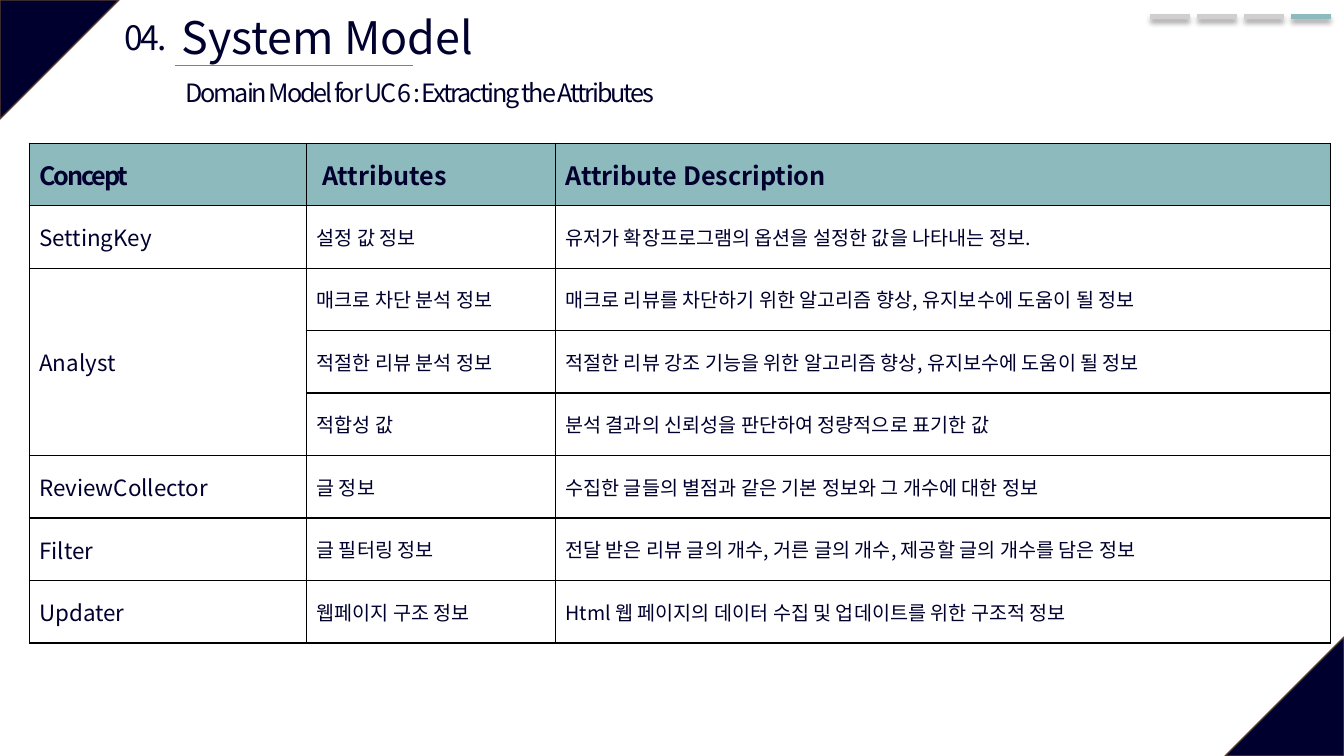
from lxml import etree
from pptx import Presentation
from pptx.dml.color import RGBColor
from pptx.enum.shapes import MSO_CONNECTOR, MSO_SHAPE
from pptx.enum.text import MSO_ANCHOR, MSO_AUTO_SIZE, PP_ALIGN
from pptx.oxml.ns import qn
from pptx.util import Pt

LEFT, CENTER = PP_ALIGN.LEFT, PP_ALIGN.CENTER
MIDDLE, TOP = MSO_ANCHOR.MIDDLE, MSO_ANCHOR.TOP
STRAIGHT = MSO_CONNECTOR.STRAIGHT
TRIANGLE = MSO_SHAPE.ISOSCELES_TRIANGLE
NO_FIT = MSO_AUTO_SIZE.NONE

# Content
NUMBER = "04."
TITLE = "System Model"
SUBTITLE = "Domain Model for UC 6 : Extracting the Attributes"
HEADERS = ["Concept", " Attributes", "Attribute Description"]
CONCEPTS = [
    ("SettingKey", [
        ("설정 값 정보", "유저가 확장프로그램의 옵션을 설정한 값을 나타내는 정보."),
    ]),
    ("Analyst", [
        ("매크로 차단 분석 정보", "매크로 리뷰를 차단하기 위한 알고리즘 향상, 유지보수에 도움이 될 정보"),
        ("적절한 리뷰 분석 정보", "적절한 리뷰 강조 기능을 위한 알고리즘 향상, 유지보수에 도움이 될 정보"),
        ("적합성 값", "분석 결과의 신뢰성을 판단하여 정량적으로 표기한 값"),
    ]),
    ("ReviewCollector", [
        ("글 정보", "수집한 글들의 별점과 같은 기본 정보와 그 개수에 대한 정보"),
    ]),
    ("Filter", [
        ("글 필터링 정보", "전달 받은 리뷰 글의 개수, 거른 글의 개수, 제공할 글의 개수를 담은 정보"),
    ]),
    ("Updater", [
        ("웹페이지 구조 정보", "Html 웹 페이지의 데이터 수집 및 업데이트를 위한 구조적 정보"),
    ]),
]

# Style and layout, in points
FONT = "Noto Sans CJK KR"
NAVY, TEAL, GREY, RULE, BROWN, BLACK = "00002F", "8DBABD", "D0CECE", "808080", "5B3F33", "000000"
WIDTH, HEIGHT, CORNER = 960, 540, 85
TABLE_LEFT, TABLE_TOP, ROW_HEIGHT = 20.9, 102.3, 44.64
COLUMNS = [198, 177.8, 553.7]
MARK_LEFT, MARK_TOP, MARK_WIDTH, MARK_STEP, MARKS = 821.5, 11.5, 28.4, 33.6, 4


def color(value):
    return RGBColor.from_string(value)


def add_xml(parent, tag, **attributes):
    return etree.SubElement(parent, qn(tag), attributes)


def write(frame, text, size, bold=False, spacing=0, align=LEFT):
    para = frame.paragraphs[0]
    para.alignment = align
    span = para.add_run()
    span.text = text
    span.font.color.rgb = color(NAVY)
    for name, value in {"size": Pt(size), "bold": bold, "name": FONT}.items():
        setattr(span.font, name, value)
    properties = span.font._element
    properties.set("spc", str(round(spacing * 100)))
    properties.find(qn("a:latin")).addnext(etree.Element(qn("a:ea"), typeface=FONT))


def place(shape, left, top, width, height):
    for name, value in {"left": left, "top": top, "width": width, "height": height}.items():
        setattr(shape, name, Pt(value))


def add_label(page, area, text, size, align=LEFT):
    box = page.shapes.add_textbox(*map(Pt, area))
    box.text_frame.word_wrap = False
    write(box.text_frame, text, size, spacing=-1.5, align=align)


def add_line(page, left, top, width, line_color, weight, shadow=False):
    line = page.shapes.add_connector(STRAIGHT, Pt(left), Pt(top), Pt(left + width), Pt(top))
    line.line.color.rgb = color(line_color)
    line.line.width = Pt(weight)
    effects = add_xml(line._element.spPr, "a:effectLst")
    if shadow:
        outer = add_xml(effects, "a:outerShdw", blurRad=str(Pt(4)), dist=str(Pt(3)),
                        dir="5400000", algn="t", rotWithShape="0")
        shade = add_xml(outer, "a:srgbClr", val=BLACK)
        add_xml(shade, "a:alpha", val="40000")


def add_corner(page, left, top, rotation):
    corner = page.shapes.add_shape(TRIANGLE, Pt(left), Pt(top), Pt(CORNER), Pt(CORNER))
    corner.adjustments[0] = 0
    corner.rotation = rotation
    corner.shadow.inherit = False
    corner.fill.solid()
    corner.fill.fore_color.rgb = color(NAVY)
    corner.line.color.rgb = color(BROWN)
    corner.line.width = Pt(1)


def format_cell(cell, fill=None):
    cell.vertical_anchor = MIDDLE
    properties = cell._tc.get_or_add_tcPr()
    for side in "LRTB":
        border = add_xml(properties, "a:ln" + side, w=str(Pt(1)))
        add_xml(add_xml(border, "a:solidFill"), "a:srgbClr", val=BLACK)
    if fill:
        cell.fill.solid()
        cell.fill.fore_color.rgb = color(fill)
    else:
        cell.fill.background()


def add_attribute_table(page):
    count = 1 + sum(len(attributes) for _, attributes in CONCEPTS)
    frame = page.shapes.add_table(count, len(COLUMNS), Pt(TABLE_LEFT), Pt(TABLE_TOP),
                                  Pt(sum(COLUMNS)), Pt(ROW_HEIGHT * count))
    table = frame.table
    table.first_row = table.horz_banding = False
    for column, width in zip(table.columns, COLUMNS):
        column.width = Pt(width)
    for index, row in enumerate(table.rows):
        row.height = Pt(ROW_HEIGHT)
        for cell in row.cells:
            format_cell(cell, TEAL if index == 0 else None)

    for index, text in enumerate(HEADERS):
        write(table.cell(0, index).text_frame, text, 18, bold=True, spacing=0 if index else -1.5)
    row = 1
    for concept, attributes in CONCEPTS:
        first = table.cell(row, 0)
        if len(attributes) > 1:
            first.merge(table.cell(row + len(attributes) - 1, 0))
        write(first.text_frame, concept, 16)
        for texts in attributes:
            for index, text in enumerate(texts, 1):
                write(table.cell(row, index).text_frame, text, 14)
            row += 1


def main():
    deck = Presentation()
    deck.slide_width, deck.slide_height = Pt(WIDTH), Pt(HEIGHT)
    page = deck.slides.add_slide(deck.slide_layouts[5])

    # Corner triangles
    add_corner(page, 0, 0, 90)
    add_corner(page, WIDTH - CORNER, HEIGHT - CORNER, 270)

    # Heading
    add_line(page, 125.3, 46.8, 170, RULE, 0.5)
    add_label(page, (79.9, 8.6, 48.2, 36), NUMBER, 24, CENTER)
    title = page.shapes.title
    place(title, 122.4, 3.6, 245.5, 46.1)
    frame = title.text_frame
    for name, value in {"word_wrap": True, "auto_size": NO_FIT, "vertical_anchor": TOP}.items():
        setattr(frame, name, value)
    write(frame, TITLE, 32)
    add_label(page, (125.3, 51.8, 378.7, 28.8), SUBTITLE, 18)

    # Progress marks, the last one current
    for index in range(MARKS):
        add_line(page, MARK_LEFT + index * MARK_STEP, MARK_TOP, MARK_WIDTH,
                 TEAL if index == MARKS - 1 else GREY, 3.5, shadow=True)

    add_attribute_table(page)
    deck.save("out.pptx")


if __name__ == "__main__":
    main()
